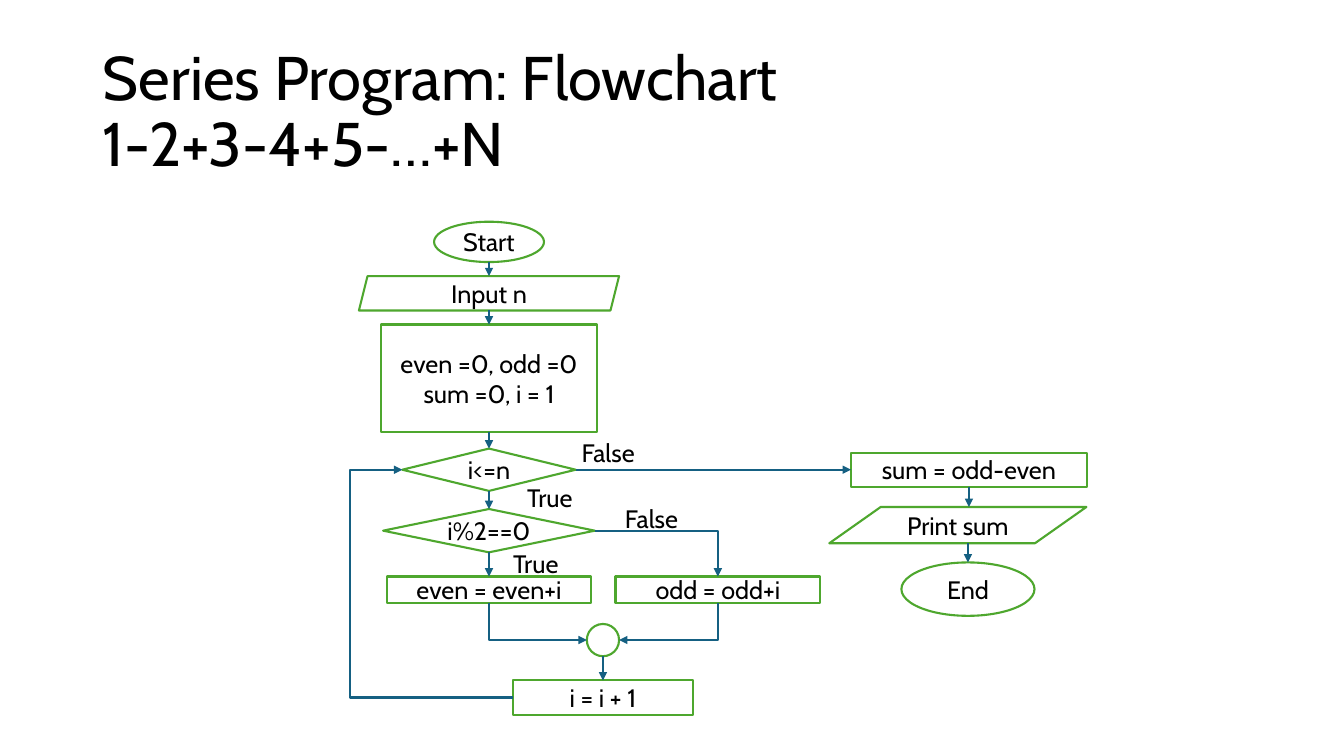
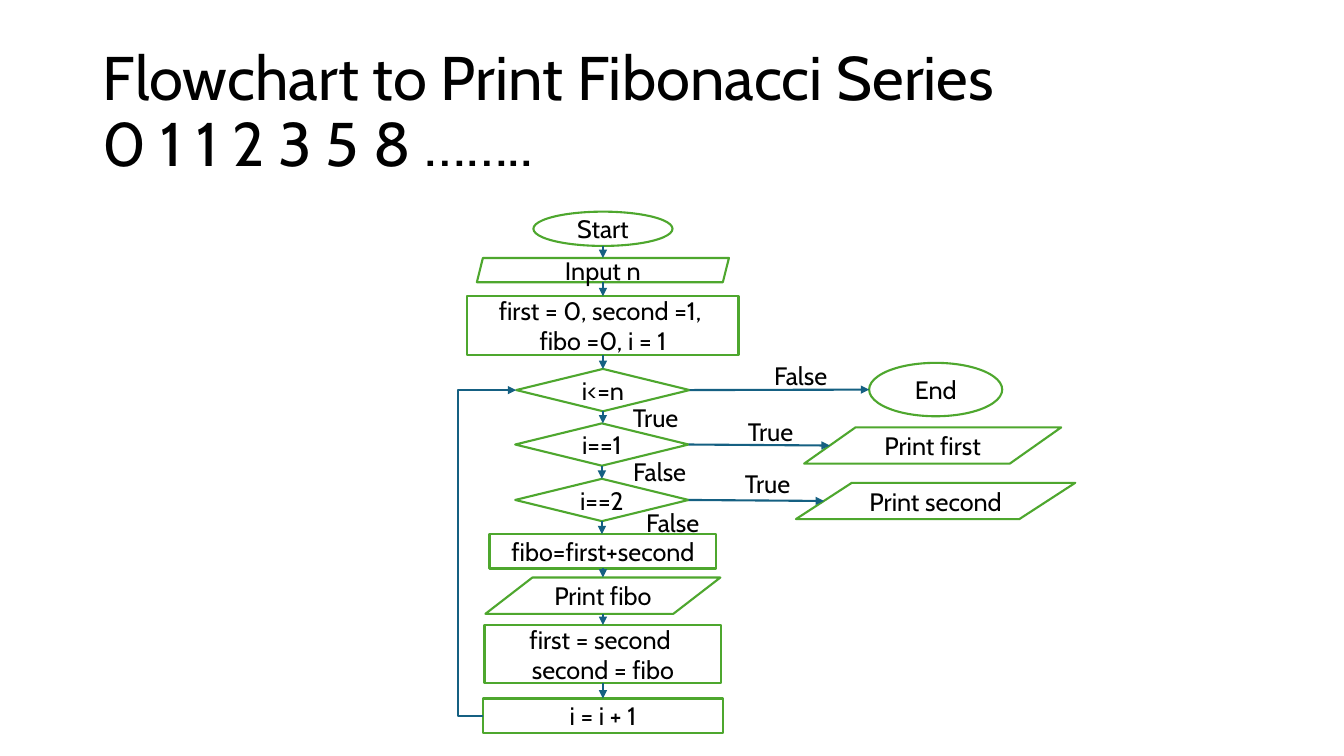
from dataclasses import dataclass
from lxml.etree import SubElement
from pptx import Presentation
from pptx.dml.color import RGBColor
from pptx.enum.shapes import MSO_CONNECTOR as LINE, MSO_SHAPE as SHAPE
from pptx.enum.text import MSO_ANCHOR as ANCHOR, MSO_AUTO_SIZE as AUTO_SIZE, PP_ALIGN as ALIGN
from pptx.oxml.ns import qn
from pptx.util import Pt

PX = 9144  # EMU per px, 100 px to the inch


@dataclass(frozen=True)
class Theme:
    font: str = "Cabin"
    ink: RGBColor = RGBColor(0x00, 0x00, 0x00)
    paper: RGBColor = RGBColor(0xFF, 0xFF, 0xFF)
    outline: RGBColor = RGBColor(0x4E, 0xA7, 0x2E)
    arrow: RGBColor = RGBColor(0x15, 0x60, 0x82)
    title_size: int = 44
    body_size: int = 18
    line_width: float = 1.5


THEME = Theme()
SLIDE_SIZE = (1333, 750)
TITLE_FRAME = (92, 40, 1150, 145)
LABEL_WIDTHS = {"True": 67, "False": 79}
LABEL_HEIGHT = 40

OVAL, BOX, TEST = SHAPE.OVAL, SHAPE.RECTANGLE, SHAPE.DIAMOND
INPUT, OUTPUT = SHAPE.PARALLELOGRAM, SHAPE.FLOWCHART_DATA
FOUR_SITES = {"top": 0, "left": 1, "bottom": 2, "right": 3}
SITES = {
    BOX: FOUR_SITES,
    TEST: FOUR_SITES,
    OVAL: {"top": 0, "left": 2, "bottom": 4, "right": 6},
}

# boxes: name: (kind, text, centre x, top, width, height)
# chains: names joined top to bottom; branches: joined left to right
# elbows: (from, side, to, side, x of the middle leg or None)
# labels: (text, left, top)
SERIES = {
    "title": ("Series Program: Flowchart", "1-2+3-4+5-…+N"),
    "boxes": {
        "start": (OVAL, "Start", 485, 220, 109, 40),
        "input": (INPUT, "Input n", 485, 274, 258, 34),
        "init": (BOX, "even =0, odd =0\nsum =0, i = 1", 485, 322, 215, 107),
        "loop": (TEST, "i<=n", 485, 445, 172, 42),
        "parity": (TEST, "i%2==0", 485, 505, 210, 43),
        "even": (BOX, "even = even+i", 485, 572, 203, 26),
        "odd": (BOX, "odd = odd+i", 712, 572, 203, 26),
        "join": (OVAL, "", 598, 619, 32, 32),
        "next": (BOX, "i = i + 1", 598, 675, 179, 34),
        "sum": (BOX, "sum = odd-even", 961, 449, 234, 34),
        "print": (OUTPUT, "Print sum", 950, 503, 255, 36),
        "end": (OVAL, "End", 960, 558, 132, 53),
    },
    "chains": [
        ("start", "input", "init", "loop", "parity", "even"),
        ("join", "next"),
        ("sum", "print", "end"),
    ],
    "branches": [("loop", "sum")],
    "elbows": [
        ("next", "left", "loop", "left", 347),
        ("parity", "right", "odd", "top", None),
        ("even", "bottom", "join", "left", None),
        ("odd", "bottom", "join", "right", None),
    ],
    "labels": [("True", 513, 474), ("False", 567, 429), ("True", 499, 539), ("False", 610, 494)],
}

FIBONACCI = {
    "title": ("Flowchart to Print Fibonacci Series", "0 1 1 2 3 5 8 …….."),
    "boxes": {
        "start": (OVAL, "Start", 598, 210, 138, 34),
        "input": (INPUT, "Input n", 598, 256, 250, 24),
        "init": (BOX, "first = 0, second =1, \nfibo =0, i = 1", 598, 294, 269, 58),
        "loop": (TEST, "i<=n", 598, 366, 172, 42),
        "is_first": (TEST, "i==1", 597, 420, 172, 42),
        "is_second": (TEST, "i==2", 597, 475, 172, 42),
        "add": (BOX, "fibo=first+second", 598, 530, 225, 34),
        "print_fibo": (OUTPUT, "Print fibo", 598, 573, 233, 36),
        "shift": (BOX, "first = second \nsecond = fibo", 598, 620, 235, 58),
        "next": (BOX, "i = i + 1", 598, 693, 238, 34),
        "end": (OVAL, "End", 928, 360, 132, 53),
        "print_first": (OUTPUT, "Print first", 925, 424, 255, 36),
        "print_second": (OUTPUT, "Print second", 928, 479, 277, 36),
    },
    "chains": [
        ("start", "input", "init", "loop", "is_first", "is_second",
         "add", "print_fibo", "shift", "next"),
    ],
    "branches": [("loop", "end"), ("is_first", "print_first"), ("is_second", "print_second")],
    "elbows": [("next", "left", "loop", "left", 454)],
    "labels": [("True", 618, 394), ("False", 758, 353), ("True", 732, 408),
               ("True", 729, 460), ("False", 618, 448), ("False", 631, 498)],
}


def emu(*lengths):
    return [round(length * PX) for length in lengths]


def write(frame, text, size, align):
    frame.text = text
    for para in frame.paragraphs:
        para.alignment = align
        for span in para.runs:
            span.font.name = THEME.font
            span.font.size = Pt(size)
            span.font.color.rgb = THEME.ink


def set_title(page, lines):
    title = page.shapes.title
    title.left, title.top, title.width, title.height = emu(*TITLE_FRAME)
    frame = title.text_frame
    write(frame, "\v".join(lines), THEME.title_size, ALIGN.LEFT)
    frame.auto_size = AUTO_SIZE.NONE
    frame.vertical_anchor = ANCHOR.MIDDLE
    frame.paragraphs[0].line_spacing = 0.9


def add_box(page, kind, text, center, top, width, height):
    box = page.shapes.add_shape(kind, *emu(center - width / 2, top, width, height))
    box.shadow.inherit = False
    box.fill.solid()
    box.fill.fore_color.rgb = THEME.paper
    box.line.color.rgb = THEME.outline
    box.line.width = Pt(THEME.line_width)
    box.text_frame.vertical_anchor = ANCHOR.MIDDLE
    if text:
        write(box.text_frame, text, THEME.body_size, ALIGN.CENTER)
    return box


def add_label(page, text, left, top):
    label = page.shapes.add_textbox(*emu(left, top, LABEL_WIDTHS[text], LABEL_HEIGHT))
    label.text_frame.word_wrap = False
    label.text_frame.auto_size = AUTO_SIZE.SHAPE_TO_FIT_TEXT
    write(label.text_frame, text, THEME.body_size, ALIGN.LEFT)


def side_point(box, side):
    """Middle of a side; the slanted sides of an output box lie 10% inside."""
    inset = box.width // 10 if box.auto_shape_type == OUTPUT else 0
    middle_x, middle_y = box.left + box.width // 2, box.top + box.height // 2
    return {
        "top": (middle_x, box.top),
        "bottom": (middle_x, box.top + box.height),
        "left": (box.left + inset, middle_y),
        "right": (box.left + box.width - inset, middle_y),
    }[side]


def glue(connector, tag, box, side):
    sites = SITES.get(box.auto_shape_type)
    if sites:
        properties = connector.element.find(".//" + qn("p:cNvCxnSpPr"))
        SubElement(properties, qn(tag), id=str(box.shape_id), idx=str(sites[side]))


def add_arrow(page, kind, source, source_side, target, target_side):
    start, finish = side_point(source, source_side), side_point(target, target_side)
    if kind == LINE.STRAIGHT and source_side == "bottom":
        # A vertical arrow takes its x from the box that is not slanted.
        upright = source if source.auto_shape_type in SITES else target
        x = side_point(upright, "top")[0]
        start, finish = (x, start[1]), (x, finish[1])
    arrow = page.shapes.add_connector(kind, *start, *finish)
    glue(arrow, "a:stCxn", source, source_side)
    glue(arrow, "a:endCxn", target, target_side)
    arrow.line.color.rgb = THEME.arrow
    arrow.line.width = Pt(THEME.line_width)
    SubElement(arrow.line._get_or_add_ln(), qn("a:tailEnd"), type="triangle")
    SubElement(arrow.element.spPr, qn("a:effectLst"))
    return arrow, start, finish


def add_elbow(page, source, source_side, target, target_side, middle_x):
    """Bent arrow; its outline is turned so that it leaves from source_side."""
    arrow, start, finish = add_arrow(page, LINE.ELBOW, source, source_side, target, target_side)
    run, rise = finish[0] - start[0], finish[1] - start[1]
    rightward = run > 0
    turn, flip = {
        "right": (0, False),
        "left": (180, rightward),
        "bottom": (270, True) if rightward else (90, False),
    }[source_side]

    width, height = abs(run), abs(rise)
    if source_side == "bottom":
        width, height = height, width
    arrow.left = (start[0] + finish[0] - width) // 2
    arrow.top = (start[1] + finish[1] - height) // 2
    arrow.width, arrow.height = width, height

    properties = arrow.element.spPr
    frame = properties.find(qn("a:xfrm"))
    for name in ("flipH", "flipV"):
        frame.attrib.pop(name, None)
    if turn:
        frame.set("rot", str(turn * 60000))
    if flip:
        frame.set("flipH", "1")

    outline = properties.find(qn("a:prstGeom"))
    if middle_x is None:
        outline.set("prst", "bentConnector2")
    else:
        bend = round((middle_x * PX - start[0]) / run * 100000)
        guides = outline.find(qn("a:avLst"))
        if guides is None:
            guides = SubElement(outline, qn("a:avLst"))
        SubElement(guides, qn("a:gd"), name="adj1", fmla=f"val {bend}")


def build_flowchart(deck, chart):
    page = deck.slides.add_slide(deck.slide_layouts[5])
    set_title(page, chart["title"])
    boxes = {name: add_box(page, *data) for name, data in chart["boxes"].items()}
    for chain in chart["chains"]:
        for upper, lower in zip(chain, chain[1:]):
            add_arrow(page, LINE.STRAIGHT, boxes[upper], "bottom", boxes[lower], "top")
    for source, target in chart["branches"]:
        add_arrow(page, LINE.STRAIGHT, boxes[source], "right", boxes[target], "left")
    for source, source_side, target, target_side, middle_x in chart["elbows"]:
        add_elbow(page, boxes[source], source_side, boxes[target], target_side, middle_x)
    for label in chart["labels"]:
        add_label(page, *label)


def main():
    deck = Presentation()
    deck.slide_width, deck.slide_height = emu(*SLIDE_SIZE)
    for chart in (SERIES, FIBONACCI):
        build_flowchart(deck, chart)
    deck.save("out.pptx")


if __name__ == "__main__":
    main()
